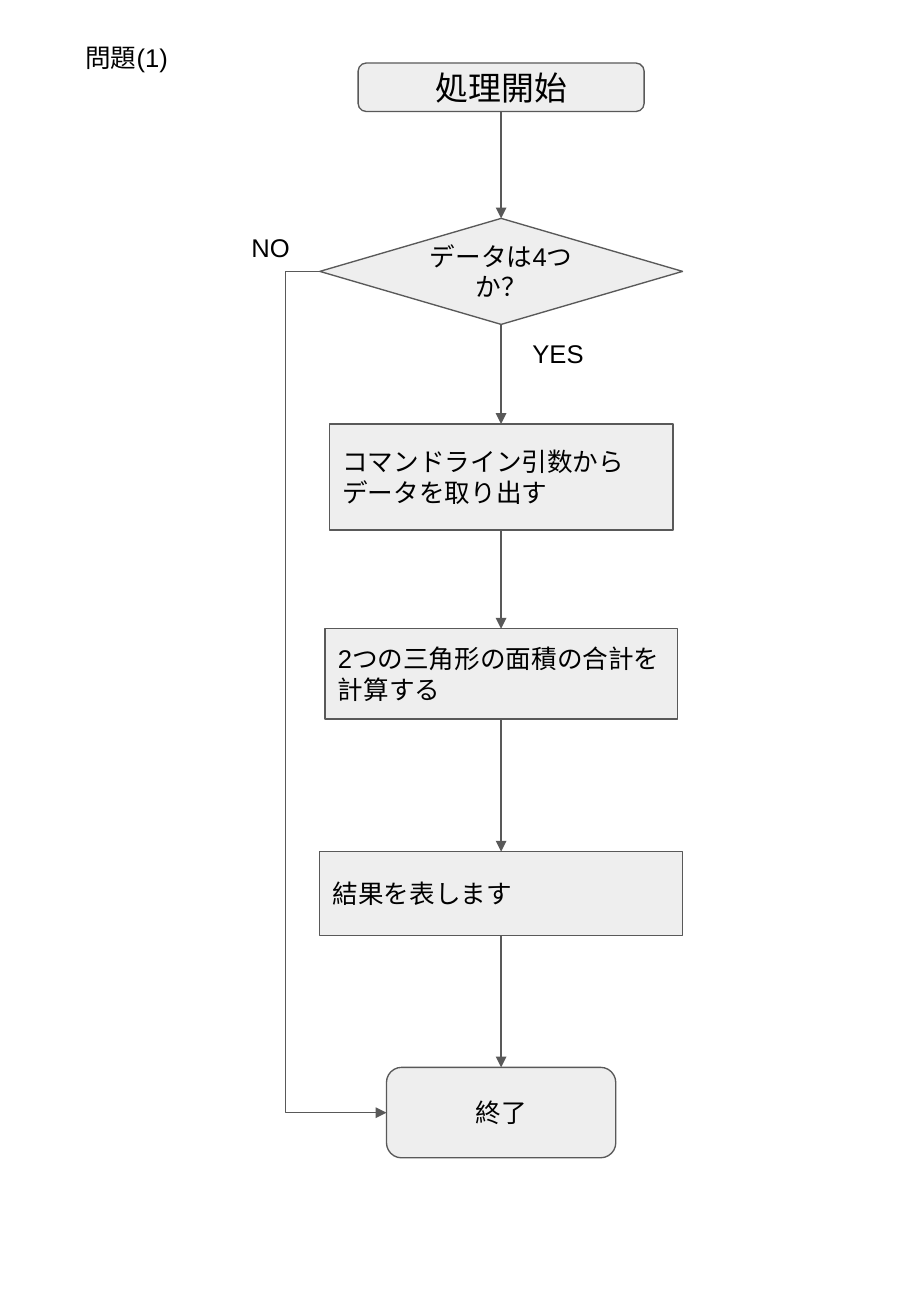
from itertools import pairwise

from lxml.etree import SubElement
from pptx import Presentation
from pptx.dml.color import RGBColor
from pptx.enum.shapes import MSO_CONNECTOR, MSO_SHAPE
from pptx.enum.text import MSO_ANCHOR, MSO_AUTO_SIZE, PP_ALIGN
from pptx.oxml.ns import qn
from pptx.util import Pt

COLORS = {"fill": "EEEEEE", "line": "595959", "text": "000000"}
FONT = "Arial"
TOP, LEFT, BOTTOM = 0, 1, 2

STEPS = [
    ("処理開始", MSO_SHAPE.FLOWCHART_ALTERNATE_PROCESS, 0, 156.5, 26.5, 18, PP_ALIGN.CENTER),
    ("データは4つか？", MSO_SHAPE.DIAMOND, 85, 198.5, 58, 14, PP_ALIGN.CENTER),
    ("コマンドライン引数からデータを取り出す", MSO_SHAPE.RECTANGLE, 197.5, 188, 58, 14, PP_ALIGN.LEFT),
    ("2つの三角形の面積の合計を計算する", MSO_SHAPE.RECTANGLE, 309.5, 193, 49.5, 14, PP_ALIGN.LEFT),
    ("結果を表します", MSO_SHAPE.RECTANGLE, 431.5, 198.5, 46, 14, PP_ALIGN.LEFT),
    ("終了", MSO_SHAPE.ROUNDED_RECTANGLE, 549.5, 125.5, 49.5, 14, PP_ALIGN.CENTER),
]


def color(name):
    return RGBColor.from_string(COLORS[name])


def write_text(shape, text, size=14, alignment=PP_ALIGN.LEFT, anchor=MSO_ANCHOR.TOP):
    frame = shape.text_frame
    frame.text = text
    frame.word_wrap = True
    frame.auto_size = MSO_AUTO_SIZE.NONE
    frame.vertical_anchor = anchor
    frame.margin_left = frame.margin_right = Pt(7.2)
    frame.margin_top = frame.margin_bottom = Pt(7.2)
    paragraph = frame.paragraphs[0]
    paragraph.alignment = alignment
    font = paragraph.runs[0].font
    font.name = FONT
    font.size = Pt(size)
    font.color.rgb = color("text")
    SubElement(paragraph.runs[0].font._element, qn("a:ea"), typeface=FONT)


def add_title(slide, left, top, width, height):
    title = slide.shapes.title
    title.left, title.top, title.width, title.height = map(Pt, (left, top, width, height))
    write_text(title, "問題(1)")


def add_label(slide, text, left, top, width, height):
    label = slide.shapes.add_textbox(Pt(left), Pt(top), Pt(width), Pt(height))
    write_text(label, text)


def add_step(slide, center, top, step):
    text, kind, offset, width, height, size, alignment = step
    shape = slide.shapes.add_shape(
        kind, Pt(center - width / 2), Pt(top + offset), Pt(width), Pt(height))
    shape.shadow.inherit = False
    shape.fill.solid()
    shape.fill.fore_color.rgb = color("fill")
    shape.line.color.rgb = color("line")
    shape.line.width = Pt(0.75)
    write_text(shape, text, size, alignment, MSO_ANCHOR.MIDDLE)
    return shape


def add_arrow(slide, kind, start, start_site, end, end_site):
    arrow = slide.shapes.add_connector(kind, 0, 0, 0, 0)
    arrow.begin_connect(start, start_site)
    arrow.end_connect(end, end_site)
    arrow.line.color.rgb = color("line")
    arrow.line.width = Pt(0.75)
    properties = arrow._element.spPr
    SubElement(properties.find(qn("a:ln")), qn("a:tailEnd"), type="triangle")
    SubElement(properties, qn("a:effectLst"))
    return arrow


def add_flowchart(slide, left, top, width):
    center = left + width / 2
    shapes = [add_step(slide, center, top, step) for step in STEPS]
    for upper, lower in pairwise(shapes):
        add_arrow(slide, MSO_CONNECTOR.STRAIGHT, upper, BOTTOM, lower, TOP)
    bypass = add_arrow(slide, MSO_CONNECTOR.ELBOW, shapes[1], LEFT, shapes[-1], LEFT)
    geometry = bypass._element.spPr.find(qn("a:prstGeom"))
    adjustments = geometry.find(qn("a:avLst"))
    SubElement(adjustments, qn("a:gd"), name="adj1", fmla="val -51000")
    add_label(slide, "NO", left - 44.5, top + 85, 40.5, 22.5)
    add_label(slide, "YES", center + 10, top + 143, 68.5, 22.5)


def main():
    presentation = Presentation()
    presentation.slide_width = Pt(504)
    presentation.slide_height = Pt(720)
    slide = presentation.slides.add_slide(presentation.slide_layouts[5])
    add_title(slide, 39.5, 16, 149, 31.5)
    add_flowchart(slide, 175, 34.5, 198.5)
    presentation.save("out.pptx")


if __name__ == "__main__":
    main()
